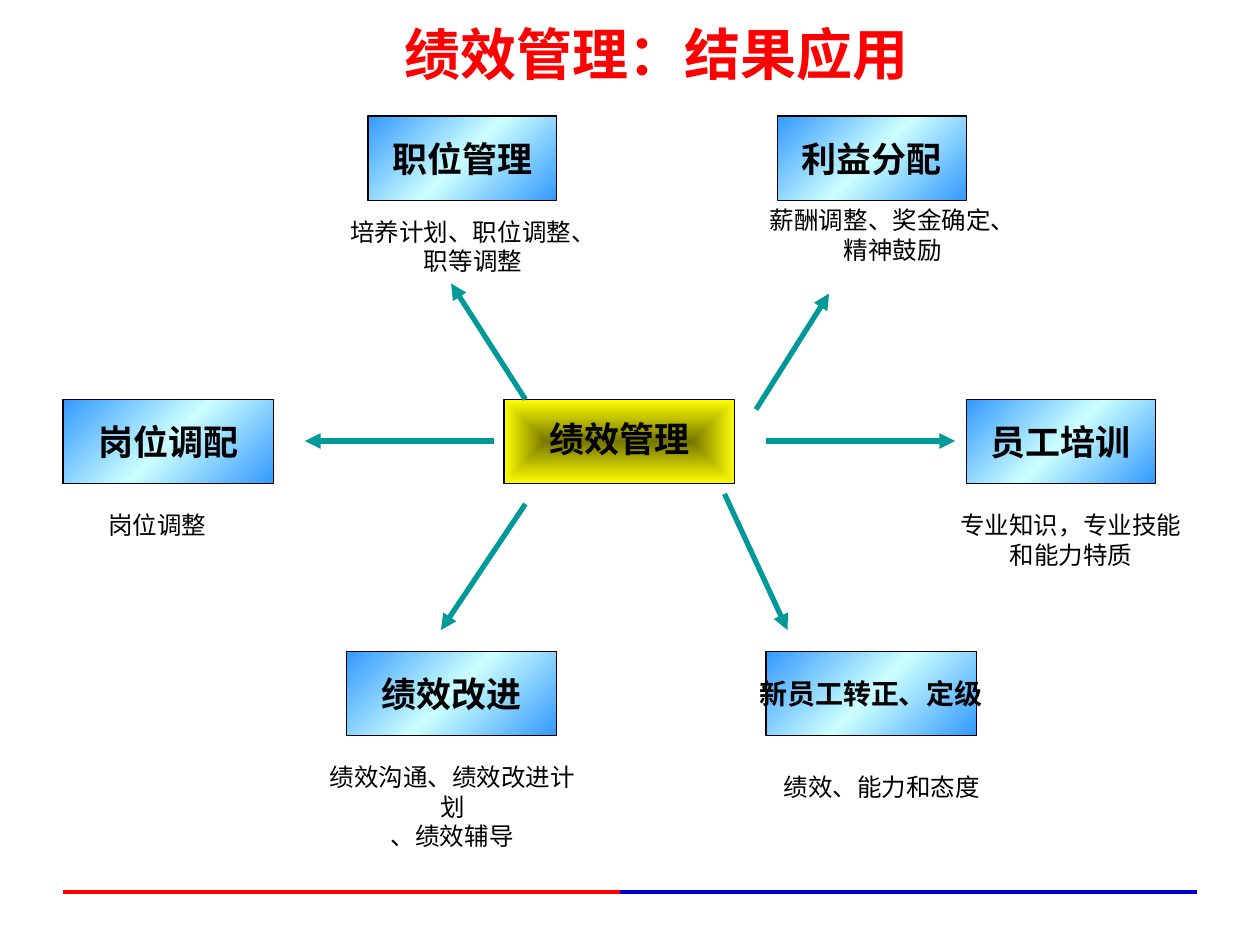
import pptx
import pptx.dml.color
import pptx.enum.shapes
import pptx.enum.text
import pptx.oxml
import pptx.oxml.ns
import pptx.util
from pptx.util import Inches

COLORS = {
    "title": "FF0000",
    "title_shadow": "C0C0C0",
    "rule_left": "FF0000",
    "rule_right": "0000CC",
    "text": "000000",
    "outline": "000000",
    "arrow": "009999",
    "topic_edge": "3399FF",
    "topic_middle": "CCFFFF",
    "hub_center": "767600",
    "hub_edge": "FFFF00",
}
TOPIC_STOPS = [(0, "topic_edge"), (50, "topic_middle"), (100, "topic_edge")]
HUB_STOPS = [(0, "hub_center"), (100, "hub_edge")]
DIAGONAL = '<a:lin {ns} ang="2700000" scaled="1"/>'
FROM_CENTER = ('<a:path {ns} path="rect">'
               '<a:fillToRect l="50000" t="50000" r="50000" b="50000"/></a:path>')

TOPICS = [
    ((6.17, 0.92, 1.5), "利益分配", 20, "薪酬调整、奖金确定、\n精神鼓励", (6, 1.58, 2.17, 0.57)),
    ((7.67, 3.17, 1.5), "员工培训", 20, "专业知识，专业技能\n和能力特质", (7.5, 4, 2, 0.57)),
    ((2.92, 0.92, 1.5), "职位管理", 20, "培养计划、职位调整、\n职等调整", (2.67, 1.67, 2.17, 0.57)),
    ((0.5, 3.17, 1.67), "岗位调配", 20, "岗位调整", (0.25, 4, 2, 0.34)),
    ((2.75, 5.17, 1.67), "绩效改进", 20, "绩效沟通、绩效改进计划\n、绩效辅导", (2.42, 6, 2.34, 0.57)),
    ((6.08, 5.17, 1.67), "新员工转正、定级", 16, "绩效、能力和态度", (6, 6.08, 2, 0.34)),
]
ARROWS = [
    ((6, 3.25), (6.58, 2.33)),
    ((4.17, 3.17), (3.58, 2.25)),
    ((3.92, 3.5), (2.42, 3.5)),
    ((4.17, 4), (3.5, 5)),
    ((6.08, 3.5), (7.58, 3.5)),
    ((5.75, 3.92), (6.25, 5)),
]
BOX_HEIGHT = 0.67


def rgb(name):
    """Return the named palette colour."""
    return pptx.dml.color.RGBColor.from_string(COLORS[name])


def element(template):
    """Parse drawing markup with its namespace filled in."""
    return pptx.oxml.parse_xml(template.format(ns=pptx.oxml.ns.nsdecls("a")))


def write_text(shape, text, size=14, font="Times New Roman", color="text", bold=False,
               spacing=None, wrap=True, anchor="TOP"):
    """Fill a shape with centred paragraphs, one for each line of text."""
    frame = shape.text_frame
    frame.text = text
    frame.word_wrap = wrap
    frame.auto_size = pptx.enum.text.MSO_AUTO_SIZE.NONE
    frame.vertical_anchor = pptx.enum.text.MSO_ANCHOR[anchor]
    for paragraph in frame.paragraphs:
        paragraph.alignment = pptx.enum.text.PP_ALIGN.CENTER
        paragraph.space_before = pptx.util.Pt(0)
        if spacing:
            paragraph.line_spacing = spacing
        for run in paragraph.runs:
            run.font.size = pptx.util.Pt(size)
            run.font.name = font
            run.font.bold = bold
            run.font.color.rgb = rgb(color)


def add_title(slide, box, text):
    """Place the title with its soft text shadow."""
    title = slide.shapes.title
    title.left, title.top, title.width, title.height = map(Inches, box)
    write_text(title, text, size=32, font="Arial", color="title", bold=True, spacing=1.2)
    properties = title.text_frame.paragraphs[0].runs[0].font.fill._xPr
    shadow = element('<a:effectLst {ns}><a:outerShdw dist="35921" dir="2700000">'
                     f'<a:srgbClr val="{COLORS["title_shadow"]}"/></a:outerShdw></a:effectLst>')
    properties.find(pptx.oxml.ns.qn("a:solidFill")).addnext(shadow)


def add_gradient_box(slide, box, text, stops, direction, **text_format):
    """Add an outlined rectangle with a gradient fill and a bold label."""
    shape = slide.shapes.add_shape(pptx.enum.shapes.MSO_SHAPE.RECTANGLE, *map(Inches, box))
    shape.shadow.inherit = False
    shape.line.color.rgb = rgb("outline")
    shape.line.width = pptx.util.Pt(0.75)
    shape.fill.gradient()
    gradient = shape._element.spPr.find(pptx.oxml.ns.qn("a:gradFill"))
    for child in list(gradient):
        gradient.remove(child)
    marks = "".join(f'<a:gs pos="{position * 1000}"><a:srgbClr val="{COLORS[name]}"/></a:gs>'
                    for position, name in stops)
    gradient.append(element("<a:gsLst {ns}>" + marks + "</a:gsLst>"))
    gradient.append(element(direction))
    write_text(shape, text, bold=True, wrap=False, anchor="MIDDLE", **text_format)


def add_topic(slide, box, label, size, note, note_box):
    """Add a topic box and the note beneath it."""
    add_gradient_box(slide, (*box, BOX_HEIGHT), label, TOPIC_STOPS, DIAGONAL, size=size)
    write_text(slide.shapes.add_textbox(*map(Inches, note_box)), note)


def add_line(slide, start, end, color, width, arrow=False):
    """Add a straight line, with an arrowhead at its end on request."""
    line = slide.shapes.add_connector(pptx.enum.shapes.MSO_CONNECTOR.STRAIGHT,
                                      *map(Inches, (*start, *end)))
    line.line.color.rgb = rgb(color)
    line.line.width = pptx.util.Pt(width)
    if arrow:
        line.line._get_or_add_ln().append(element('<a:tailEnd {ns} type="triangle"/>'))
    line._element.spPr.append(element("<a:effectLst {ns}/>"))


def add_footer_rule(slide, left, middle, right, top):
    """Draw the two-coloured rule along the bottom."""
    add_line(slide, (left, top), (middle, top), "rule_left", 2.25)
    add_line(slide, (middle, top), (right, top), "rule_right", 2.25)


def main():
    """Build the slide and save it."""
    presentation = pptx.Presentation()
    presentation.slide_width, presentation.slide_height = Inches(10), Inches(7.5)
    slide = presentation.slides.add_slide(presentation.slide_layouts[5])
    add_footer_rule(slide, 0.5, 4.92, 9.5, 7.08)
    add_title(slide, (1.75, 0, 6.92, 0.74), "绩效管理：结果应用")
    add_gradient_box(slide, (4, 3.17, 1.83, BOX_HEIGHT), "绩效管理", HUB_STOPS, FROM_CENTER,
                     size=20, spacing=0.9)
    for topic in TOPICS:
        add_topic(slide, *topic)
    for start, end in ARROWS:
        add_line(slide, start, end, "arrow", 3, arrow=True)
    presentation.save("out.pptx")


if __name__ == "__main__":
    main()
